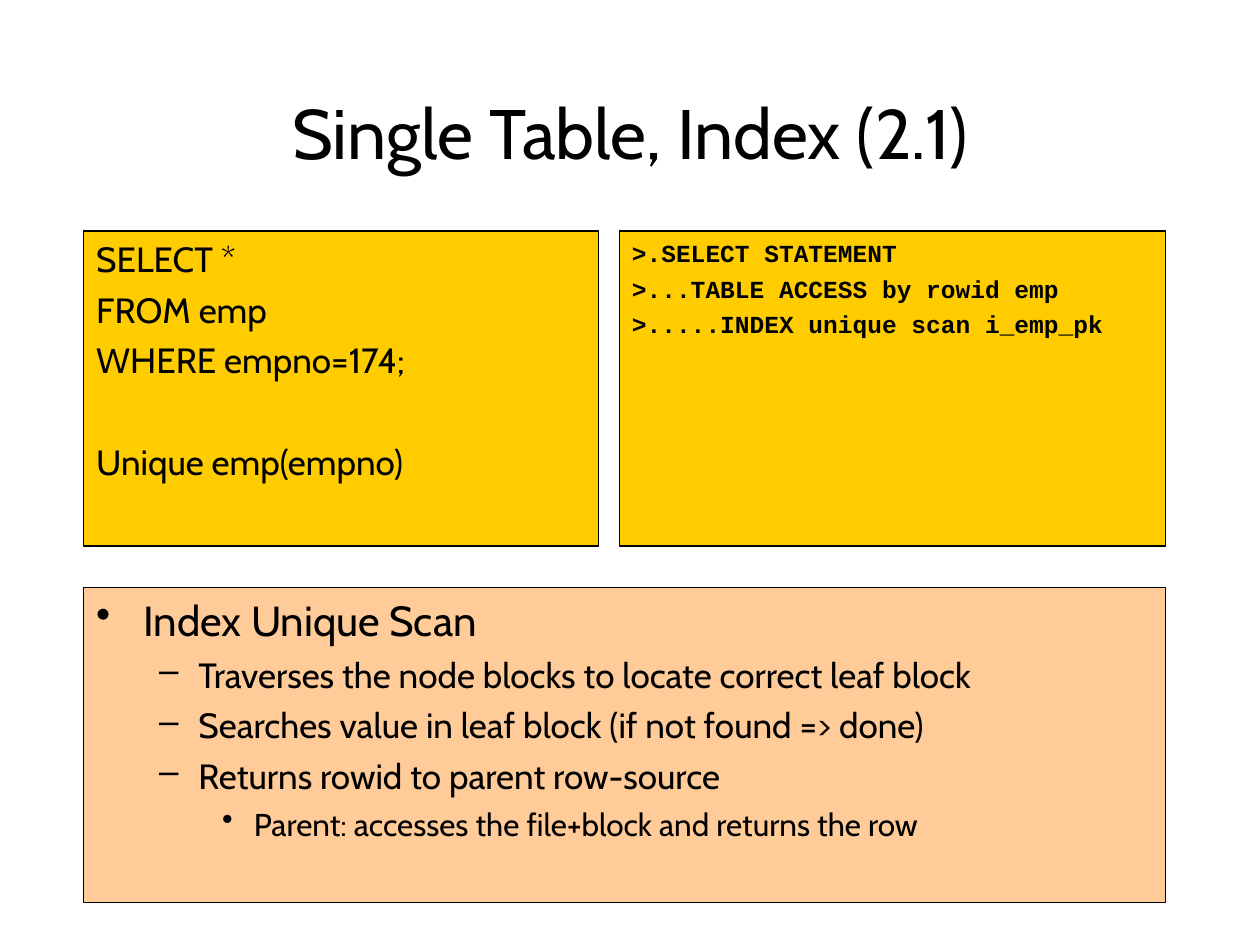
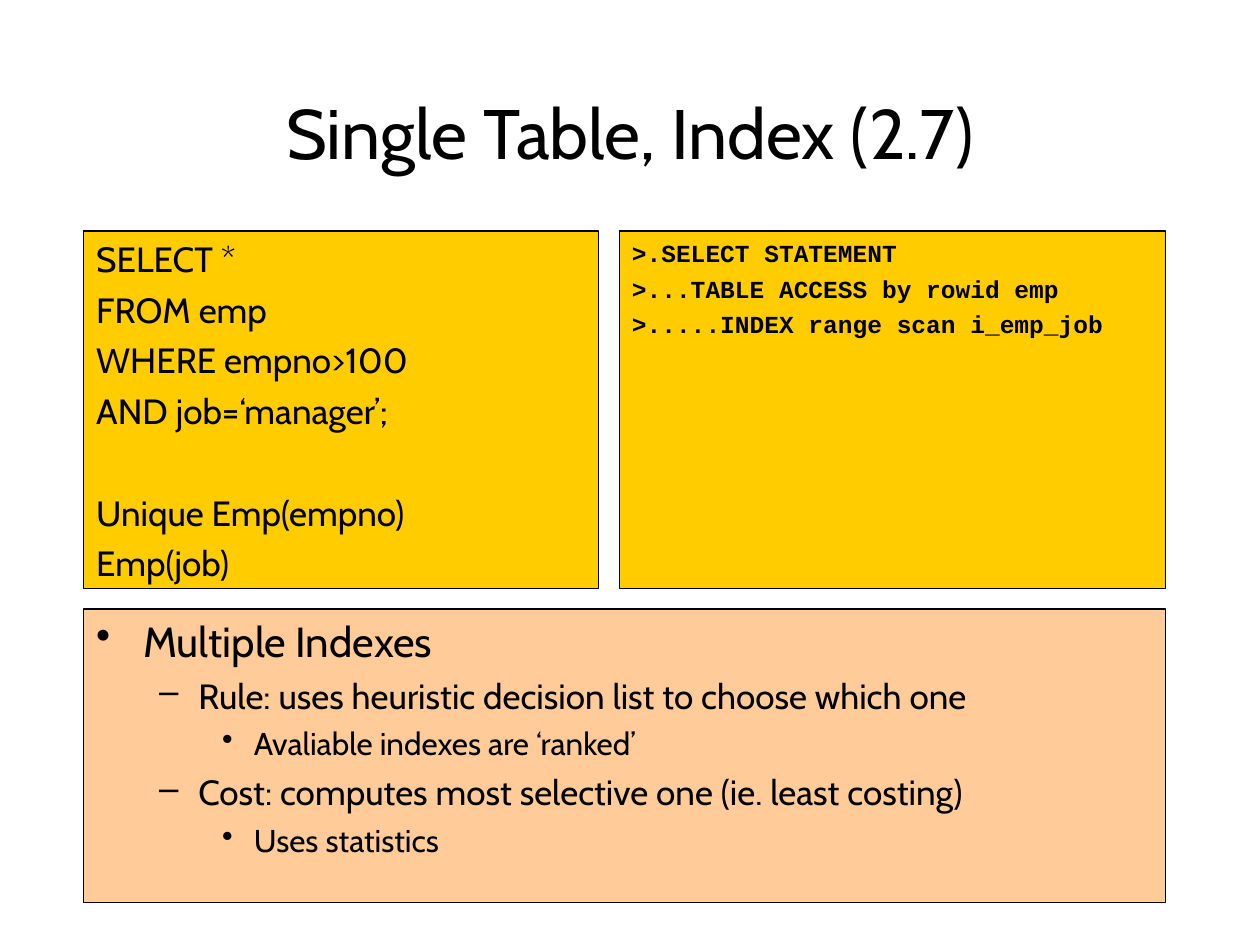
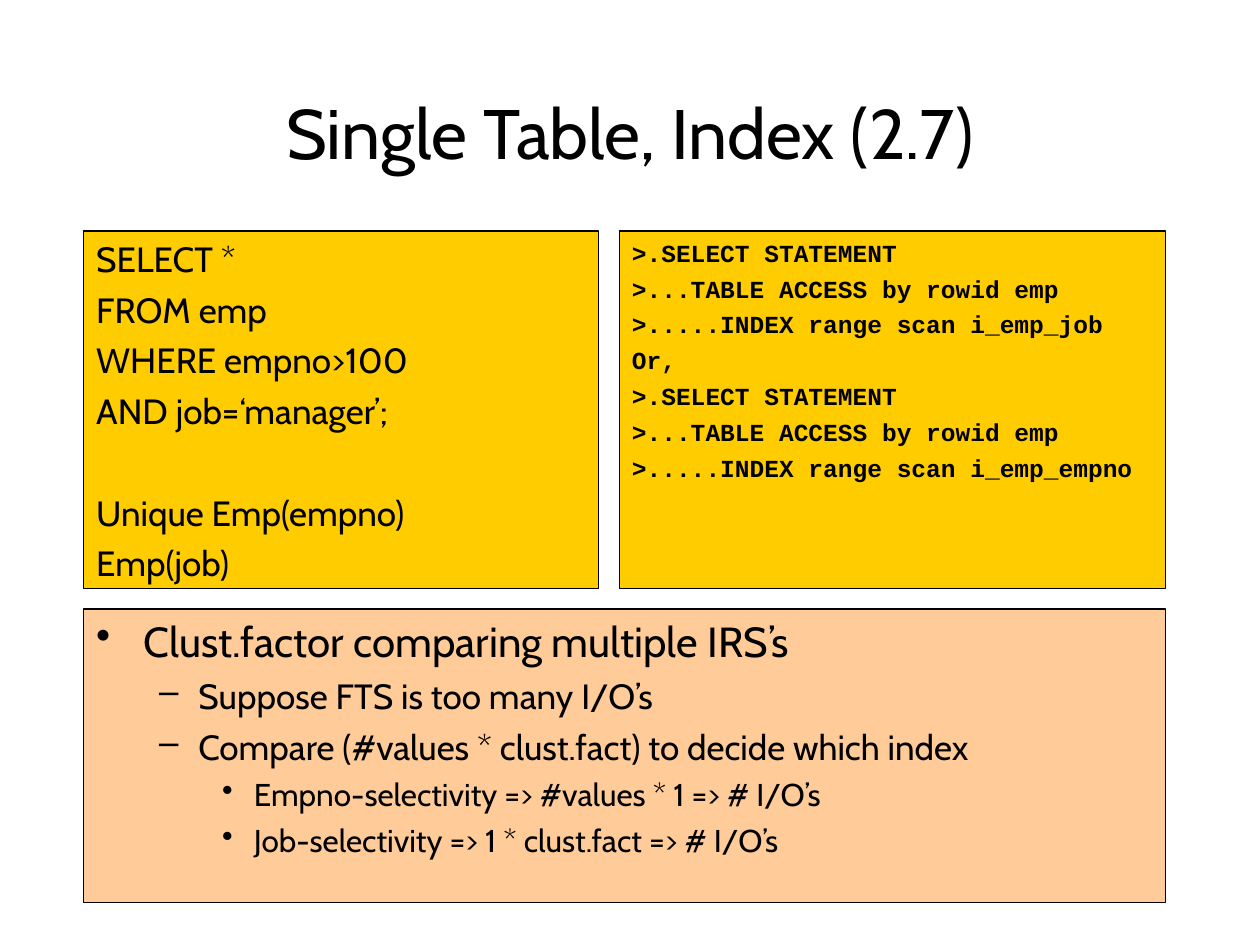
from lxml.etree import SubElement
from pptx import Presentation
from pptx.dml.color import RGBColor
from pptx.enum.shapes import MSO_SHAPE as Form
from pptx.enum.text import MSO_ANCHOR as Anchor, PP_ALIGN as Align
from pptx.oxml.ns import qn
from pptx.util import Cm, Pt


def tint(code):
    """Turn a hex string into a colour."""
    return RGBColor.from_string(code)


class Deck:
    """Hold the style and the current slide."""

    sans, mono = "Cabin", "Courier New"
    ink, gold, peach = "000000", "FFCC00", "FFCC99"
    left, right, top, base = 1.69, 23.5, 4.66, 18.2
    half, wide = 10.37, 11.01
    levels = [
        ("•", 24, 6, 0.95, 0.95),
        ("–", 20, 5, 2.06, 0.79),
        ("•", 18, 4.5, 3.18, 0.64),
    ]

    def __init__(self):
        """Open an empty deck."""
        self.prs = Presentation()
        self.prs.slide_width, self.prs.slide_height = Cm(25.4), Cm(19.05)

    def page(self, title):
        """Start a slide with its title."""
        self.slide = self.prs.slides.add_slide(self.prs.slide_layouts[6])
        box = self.slide.shapes.add_textbox(Cm(1.9), Cm(1.69), Cm(21.6), Cm(1.91))
        frame = box.text_frame
        frame.word_wrap = True
        frame.vertical_anchor = Anchor.MIDDLE
        self.line(frame, title, 40).alignment = Align.CENTER

    def panel(self, x, y, w, h, fill):
        """Draw a framed box and return its text frame."""
        box = self.slide.shapes.add_shape(Form.RECTANGLE, Cm(x), Cm(y), Cm(w), Cm(h))
        box.shadow.inherit = False
        box.fill.solid()
        box.fill.fore_color.rgb = tint(fill)
        box.line.color.rgb = tint(self.ink)
        box.line.width = Pt(0.75)
        frame = box.text_frame
        frame.word_wrap = True
        frame.vertical_anchor = Anchor.TOP
        return frame

    def line(self, frame, text, size, gap=0, face=sans, bold=False):
        """Add one paragraph; the first in a frame gets no gap."""
        para = frame.paragraphs[0]
        if para.runs:
            para = frame.add_paragraph()
            para.space_before = Pt(gap)
        para.alignment = Align.LEFT
        run = para.add_run()
        run.text = text
        run.font.name, run.font.size, run.font.bold = face, Pt(size), bold
        run.font.color.rgb = tint(self.ink)
        return para

    def query(self, high, code, keys):
        """Draw the statement and, set apart, its indexes."""
        frame = self.panel(self.left, self.top, self.half, high, self.gold)
        for text in code:
            self.line(frame, text, 20, 5)
        for i, text in enumerate(keys):
            self.line(frame, text, 20, 5 if i else 34)

    def plan(self, high, steps):
        """Draw the execution plan."""
        x = self.right - self.wide
        frame = self.panel(x, self.top, self.wide, high, self.gold)
        for text in steps:
            para = self.line(frame, text, 14, 3.5, self.mono, True)
            para.line_spacing = Pt(17)

    def notes(self, y, items):
        """Draw the bullet list down to the base line."""
        wide = self.right - self.left
        frame = self.panel(self.left, y, wide, self.base - y, self.peach)
        for level, text in items:
            mark, size, gap, margin, hang = self.levels[level]
            para = self.line(frame, text, size, gap)
            props = para._p.get_or_add_pPr()
            props.set("marL", str(Cm(margin)))
            props.set("indent", str(-Cm(hang)))
            SubElement(props, qn("a:buChar"), char=mark)


def scan(index):
    """List the plan steps for one index scan."""
    return [
        ">.SELECT STATEMENT",
        ">...TABLE ACCESS by rowid emp",
        f">.....INDEX {index}",
    ]


def main():
    """Build the slides."""
    pick = ["SELECT *", "FROM emp"]
    both = pick + ["WHERE empno>100", "AND job=‘manager’;"]
    keys = ["Unique Emp(empno)", "Emp(job)"]
    job = scan("range scan i_emp_job")
    pages = [
        ("2.1", 6.35, 11.85, pick + ["WHERE empno=174;"], ["Unique emp(empno)"],
         scan("unique scan i_emp_pk"), [
            (0, "Index Unique Scan"),
            (1, "Traverses the node blocks to locate correct leaf block"),
            (1, "Searches value in leaf block (if not found => done)"),
            (1, "Returns rowid to parent row-source"),
            (2, "Parent: accesses the file+block and returns the row"),
        ]),
        ("2.7", 7.2, 12.28, both, keys, job, [
            (0, "Multiple Indexes"),
            (1, "Rule: uses heuristic decision list to choose which one"),
            (2, "Avaliable indexes are ‘ranked’"),
            (1, "Cost: computes most selective one (ie. least costing)"),
            (2, "Uses statistics"),
        ]),
        ("2.7", 7.2, 12.28, both, keys,
         job + ["Or,"] + scan("range scan i_emp_empno"), [
            (0, "Clust.factor comparing multiple IRS’s"),
            (1, "Suppose FTS is too many I/O’s"),
            (1, "Compare (#values * clust.fact) to decide which index"),
            (2, "Empno-selectivity => #values * 1 => # I/O’s"),
            (2, "Job-selectivity => 1 * clust.fact => # I/O’s"),
        ]),
    ]
    deck = Deck()
    for part, high, y, code, index, steps, items in pages:
        deck.page(f"Single Table, Index ({part})")
        deck.notes(y, items)
        deck.plan(high, steps)
        deck.query(high, code, index)
    deck.prs.save("out.pptx")


if __name__ == "__main__":
    main()
